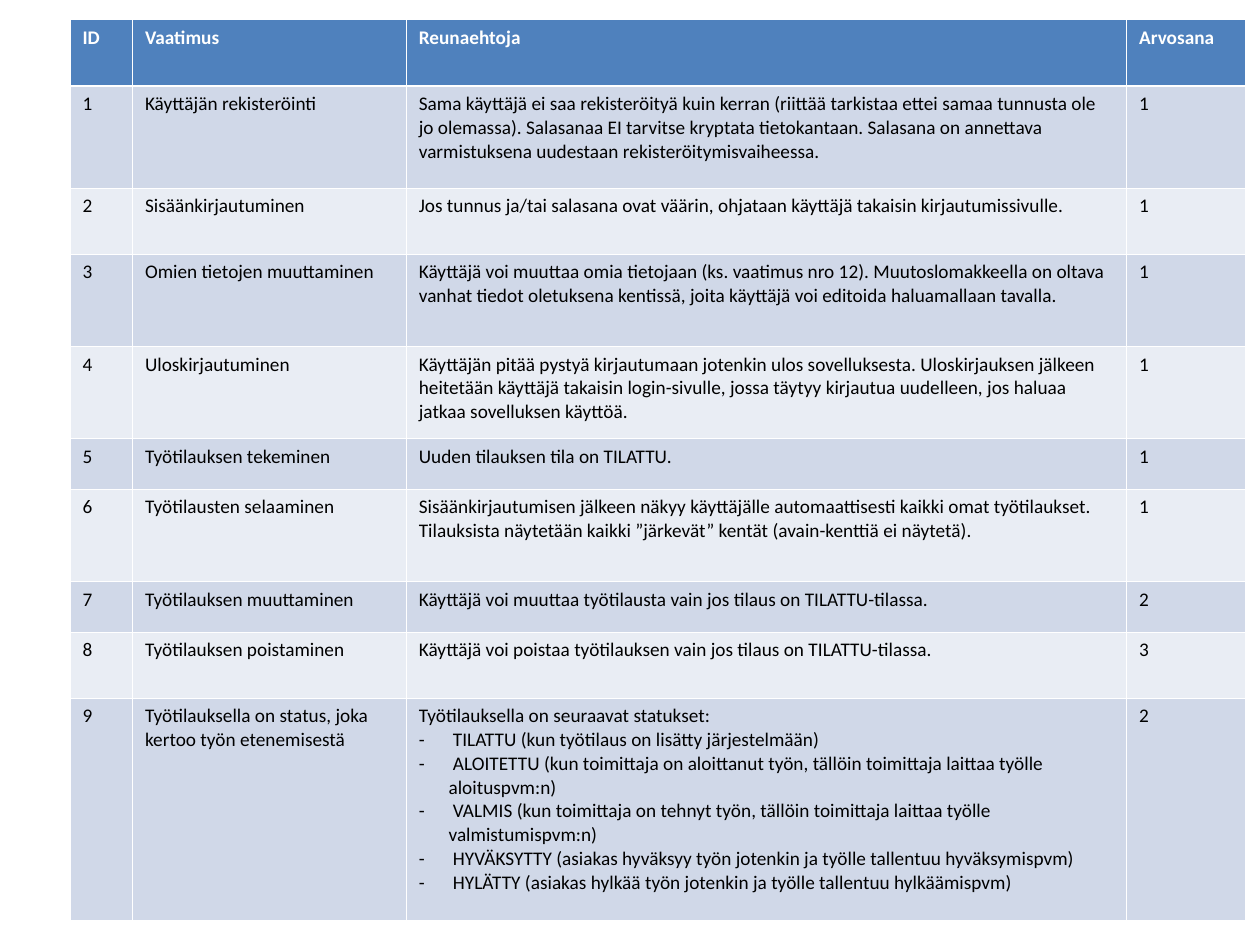
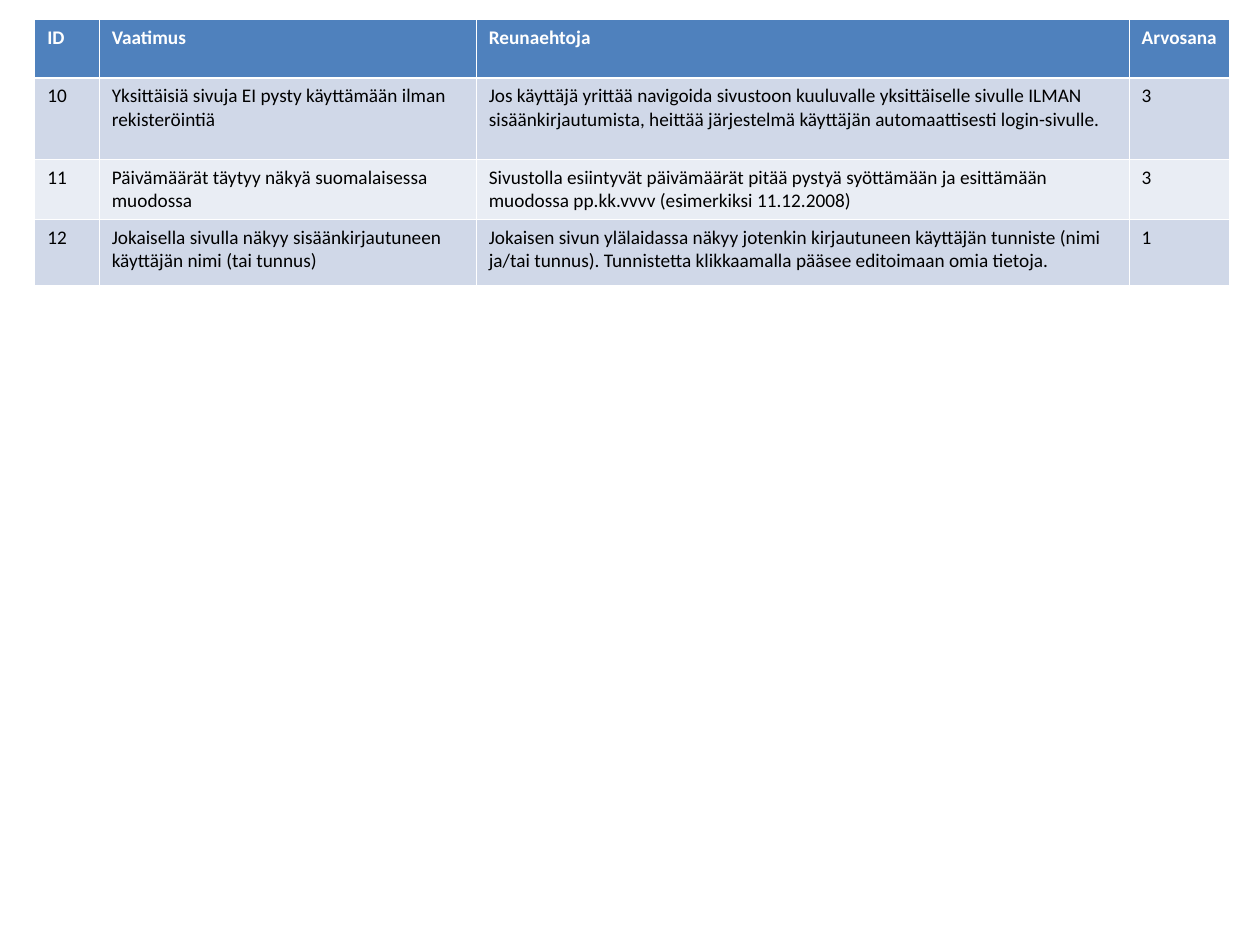
from lxml.etree import SubElement
from pptx import Presentation
from pptx.dml.color import RGBColor
from pptx.oxml.ns import qn
from pptx.util import Cm, Pt

WHITE = RGBColor(0xFF, 0xFF, 0xFF)
BLACK = RGBColor(0x00, 0x00, 0x00)
HEADER_BLUE = RGBColor(0x4F, 0x81, 0xBD)
BAND_DARK = RGBColor(0xD0, 0xD8, 0xE8)
BAND_LIGHT = RGBColor(0xE9, 0xED, 0xF4)

FONT = "Calibri"
THIN, THICK = 0.45, 1.47
BULLET_INDENT = Cm(0.6)
HEADINGS = ("ID", "Vaatimus", "Reunaehtoja", "Arvosana")

BASIC_REQUIREMENTS = [
    ("1", "Käyttäjän rekisteröinti",
     "Sama käyttäjä ei saa rekisteröityä kuin kerran (riittää tarkistaa ettei samaa "
     "tunnusta ole jo olemassa). Salasanaa EI tarvitse kryptata tietokantaan. Salasana "
     "on annettava varmistuksena uudestaan rekisteröitymisvaiheessa.", "1"),
    ("2", "Sisäänkirjautuminen",
     "Jos tunnus ja/tai salasana ovat väärin, ohjataan käyttäjä takaisin "
     "kirjautumissivulle.", "1"),
    ("3", "Omien tietojen muuttaminen",
     "Käyttäjä voi muuttaa omia tietojaan (ks. vaatimus nro 12). Muutoslomakkeella on "
     "oltava vanhat tiedot oletuksena kentissä, joita käyttäjä voi editoida "
     "haluamallaan tavalla.", "1"),
    ("4", "Uloskirjautuminen",
     "Käyttäjän pitää pystyä kirjautumaan jotenkin ulos sovelluksesta. Uloskirjauksen "
     "jälkeen heitetään käyttäjä takaisin login-sivulle, jossa täytyy kirjautua "
     "uudelleen, jos haluaa jatkaa sovelluksen käyttöä.", "1"),
    ("5", "Työtilauksen tekeminen", "Uuden tilauksen tila on TILATTU.", "1"),
    ("6", "Työtilausten selaaminen",
     "Sisäänkirjautumisen jälkeen näkyy käyttäjälle automaattisesti kaikki omat "
     "työtilaukset. Tilauksista näytetään kaikki ”järkevät” kentät (avain-kenttiä ei "
     "näytetä).", "1"),
    ("7", "Työtilauksen muuttaminen",
     "Käyttäjä voi muuttaa työtilausta vain jos tilaus on TILATTU-tilassa.", "2"),
    ("8", "Työtilauksen poistaminen",
     "Käyttäjä voi poistaa työtilauksen vain jos tilaus on TILATTU-tilassa.", "3"),
    ("9", "Työtilauksella on status, joka kertoo työn etenemisestä",
     "Työtilauksella on seuraavat statukset:\n"
     " TILATTU (kun työtilaus on lisätty järjestelmään)\n"
     " ALOITETTU (kun toimittaja on aloittanut työn, tällöin toimittaja laittaa työlle "
     "aloituspvm:n)\n"
     " VALMIS (kun toimittaja on tehnyt työn, tällöin toimittaja laittaa työlle "
     "valmistumispvm:n)\n"
     " HYVÄKSYTTY (asiakas hyväksyy työn jotenkin ja työlle tallentuu hyväksymispvm)\n"
     " HYLÄTTY (asiakas hylkää työn jotenkin ja työlle tallentuu hylkäämispvm)", "2"),
]

SITE_REQUIREMENTS = [
    ("10", "Yksittäisiä sivuja EI pysty käyttämään ilman rekisteröintiä",
     "Jos käyttäjä yrittää navigoida sivustoon kuuluvalle yksittäiselle sivulle ILMAN "
     "sisäänkirjautumista, heittää järjestelmä käyttäjän automaattisesti "
     "login-sivulle.", "3"),
    ("11", "Päivämäärät täytyy näkyä suomalaisessa muodossa",
     "Sivustolla esiintyvät päivämäärät pitää pystyä syöttämään ja esittämään muodossa "
     "pp.kk.vvvv (esimerkiksi 11.12.2008)", "3"),
    ("12", "Jokaisella sivulla näkyy sisäänkirjautuneen käyttäjän nimi (tai tunnus)",
     "Jokaisen sivun ylälaidassa näkyy jotenkin kirjautuneen käyttäjän tunniste (nimi "
     "ja/tai tunnus). Tunnistetta klikkaamalla pääsee editoimaan omia tietoja.", "1"),
]


def add_dash(paragraph, color):
    """Give a paragraph a hanging dash bullet."""
    properties = paragraph._p.get_or_add_pPr()
    properties.set("marL", str(BULLET_INDENT))
    properties.set("indent", str(-BULLET_INDENT))
    bullet_color = SubElement(properties, qn("a:buClr"))
    SubElement(bullet_color, qn("a:srgbClr"), val=str(color))
    SubElement(properties, qn("a:buFont"), typeface=FONT)
    SubElement(properties, qn("a:buChar"), char="-")


def write_text(frame, text, size=11, color=BLACK, bold=False):
    """Write lines of text, with a dash on each line after the first."""
    for number, line in enumerate(text.split("\n")):
        paragraph = frame.add_paragraph() if number else frame.paragraphs[0]
        if number:
            add_dash(paragraph, color)
        run = paragraph.add_run()
        run.text = line
        run.font.name = FONT
        run.font.size = Pt(size)
        run.font.color.rgb = color
        run.font.bold = bold


def add_borders(cell, top=THIN, bottom=THIN):
    """Draw white lines on the four sides of a cell."""
    properties = cell._tc.get_or_add_tcPr()
    for side, width in (("L", THIN), ("R", THIN), ("T", top), ("B", bottom)):
        border = SubElement(properties, qn(f"a:ln{side}"), w=str(Pt(width)))
        fill = SubElement(border, qn("a:solidFill"))
        SubElement(fill, qn("a:srgbClr"), val=str(WHITE))


def add_requirements(slide, left, top, widths, heights, requirements):
    """Place a banded requirements table, sized in centimetres."""
    rows = [HEADINGS, *requirements]
    table = slide.shapes.add_table(
        len(rows), len(HEADINGS), Cm(left), Cm(top),
        Cm(sum(widths)), Cm(sum(heights))).table
    for column, width in zip(table.columns, widths):
        column.width = Cm(width)
    for number, (row, height, texts) in enumerate(zip(table.rows, heights, rows)):
        row.height = Cm(height)
        header = number == 0
        band = BAND_DARK if number % 2 else BAND_LIGHT
        for cell, text in zip(row.cells, texts):
            add_borders(cell, top=THICK if number == 1 else THIN,
                        bottom=THICK if header else THIN)
            cell.fill.solid()
            cell.fill.fore_color.rgb = HEADER_BLUE if header else band
            write_text(cell.text_frame, text, bold=header,
                       color=WHITE if header else BLACK)


def main():
    """Build both requirement slides and save them."""
    deck = Presentation()
    deck.slide_width, deck.slide_height = Cm(25.4), Cm(19.05)
    blank = deck.slide_layouts[6]
    add_requirements(
        deck.slides.add_slide(blank), 1.41, 0.4, (1.26, 5.52, 14.52, 2.4),
        (1.33, 2.06, 1.33, 1.86, 1.86, 1.02, 1.86, 1.02, 1.33, 4.48),
        BASIC_REQUIREMENTS)
    add_requirements(
        deck.slides.add_slide(blank), 0.7, 0.4, (1.3, 7.6, 13.16, 2.03),
        (1.17, 1.64, 1.21, 1.32), SITE_REQUIREMENTS)
    deck.save("out.pptx")


if __name__ == "__main__":
    main()
